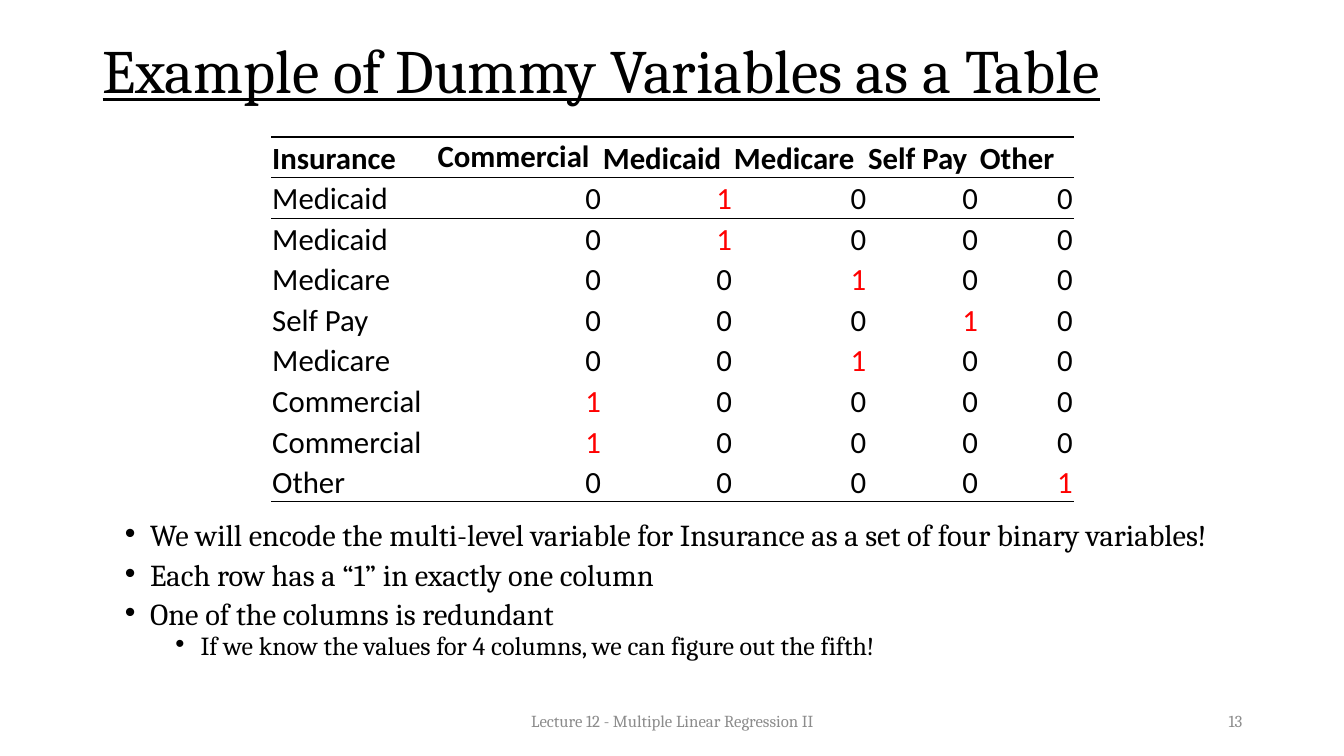
from pptx import Presentation, util as u
from pptx.dml.color import RGBColor
from pptx.enum import text as t
from pptx.oxml import parse_xml
from pptx.oxml.ns import nsdecls, qn

COLORS = {"ink": "000000", "hit": "FF0000", "footer": "8C8C8C"}

deck = Presentation()
deck.slide_width, deck.slide_height = u.Inches(13.33), u.Inches(7.5)
slide = deck.slides.add_slide(deck.slide_layouts[6])


def write(paragraph, words, size, font="Cambria", color="ink", bold=False,
          underline=False, align=t.PP_ALIGN.LEFT, spacing=None, before=0, indent=None):
    if indent is not None:
        props = paragraph._p.get_or_add_pPr()
        props.set("marL", str(u.Inches(indent)))
        props.set("indent", str(u.Inches(-0.25)))
        props.append(parse_xml(f'<a:buFont {nsdecls("a")} typeface="Arial"/>'))
        props.append(parse_xml(f'<a:buChar {nsdecls("a")} char="•"/>'))
    paragraph.alignment = align
    paragraph.space_before = u.Pt(before)
    if spacing:
        paragraph.line_spacing = spacing
    run = paragraph.add_run()
    run.text = words
    run.font.size, run.font.name = u.Pt(size), font
    run.font.bold, run.font.underline = bold, underline
    run.font.color.rgb = RGBColor.from_string(COLORS[color])


def add_frame(left, top, width, height, anchor=t.MSO_ANCHOR.MIDDLE):
    frame = slide.shapes.add_textbox(*map(u.Inches, (left, top, width, height))).text_frame
    frame.word_wrap = True
    frame.vertical_anchor = anchor
    return frame


title = add_frame(0.92, 0, 11.5, 1.45)
write(title.paragraphs[0], "Example of Dummy Variables as a Table", 44,
      underline=True, spacing=0.9)

levels = ["Commercial", "Medicaid", "Medicare", "Self Pay", "Other"]
patients = ["Medicaid", "Medicaid", "Medicare", "Self Pay", "Medicare",
            "Commercial", "Commercial", "Other"]
rows = [["Insurance"] + levels]
rows += [[insurance] + [str(int(insurance == level)) for level in levels]
         for insurance in patients]
widths = [1.64, 1.64, 1.3, 1.33, 1.11, 0.94]
last = len(rows) - 1

dummies = slide.shapes.add_table(len(rows), len(widths), u.Inches(2.69), u.Inches(1.36),
                                 u.Inches(7.96), u.Inches(3.62)).table
dummies.first_row = dummies.horz_banding = False
dummies._tbl.tblPr.find(qn("a:tableStyleId")).text = "{2D5ABB26-0587-4C30-8999-92F81FD0307C}"
for column, width in zip(dummies.columns, widths):
    column.width = u.Inches(width)

for r, values in enumerate(rows):
    for c, value in enumerate(values):
        cell = dummies.cell(r, c)
        cell.margin_left = cell.margin_right = cell.margin_top = u.Inches(0.01)
        cell.margin_bottom = 0
        cell.vertical_anchor = t.MSO_ANCHOR.TOP if (r, c) == (0, 1) else t.MSO_ANCHOR.BOTTOM
        cell.fill.background()
        edges = [edge for edge, shown in (("lnT", r < 2), ("lnB", r in (0, last))) if shown]
        for place, edge in enumerate(edges):
            cell._tc.tcPr.insert(place, parse_xml(
                f'<a:{edge} {nsdecls("a")} w="{u.Pt(1)}"><a:solidFill>'
                f'<a:srgbClr val="{COLORS["ink"]}"/></a:solidFill></a:{edge}>'))
        write(cell.text_frame.paragraphs[0], value, 22, font="Calibri", bold=r == 0,
              color="hit" if value == "1" else "ink",
              align=t.PP_ALIGN.RIGHT if r and c else t.PP_ALIGN.LEFT)

notes = add_frame(1.14, 5.17, 11.69, 1.59, t.MSO_ANCHOR.TOP)
points = [
    ("We will encode the multi-level variable for Insurance as a set of four binary variables!", 0),
    ("Each row has a “1” in exactly one column", 0),
    ("One of the columns is redundant", 0),
    ("If we know the values for 4 columns, we can figure out the fifth!", 1),
]
for i, (point, level) in enumerate(points):
    paragraph = notes.add_paragraph() if i else notes.paragraphs[0]
    paragraph.level = level
    write(paragraph, point, 18.6 if level else 21.7, spacing=0.7,
          before=(5 if level else 10) if i else 0, indent=0.25 + 0.5 * level)

for words, left, width, align in [
    ("Lecture 12 - Multiple Linear Regression II", 4.42, 4.5, t.PP_ALIGN.CENTER),
    ("13", 9.42, 3, t.PP_ALIGN.RIGHT),
]:
    footer = add_frame(left, 6.95, width, 0.4)
    write(footer.paragraphs[0], words, 12, color="footer", align=align)

deck.save("out.pptx")
